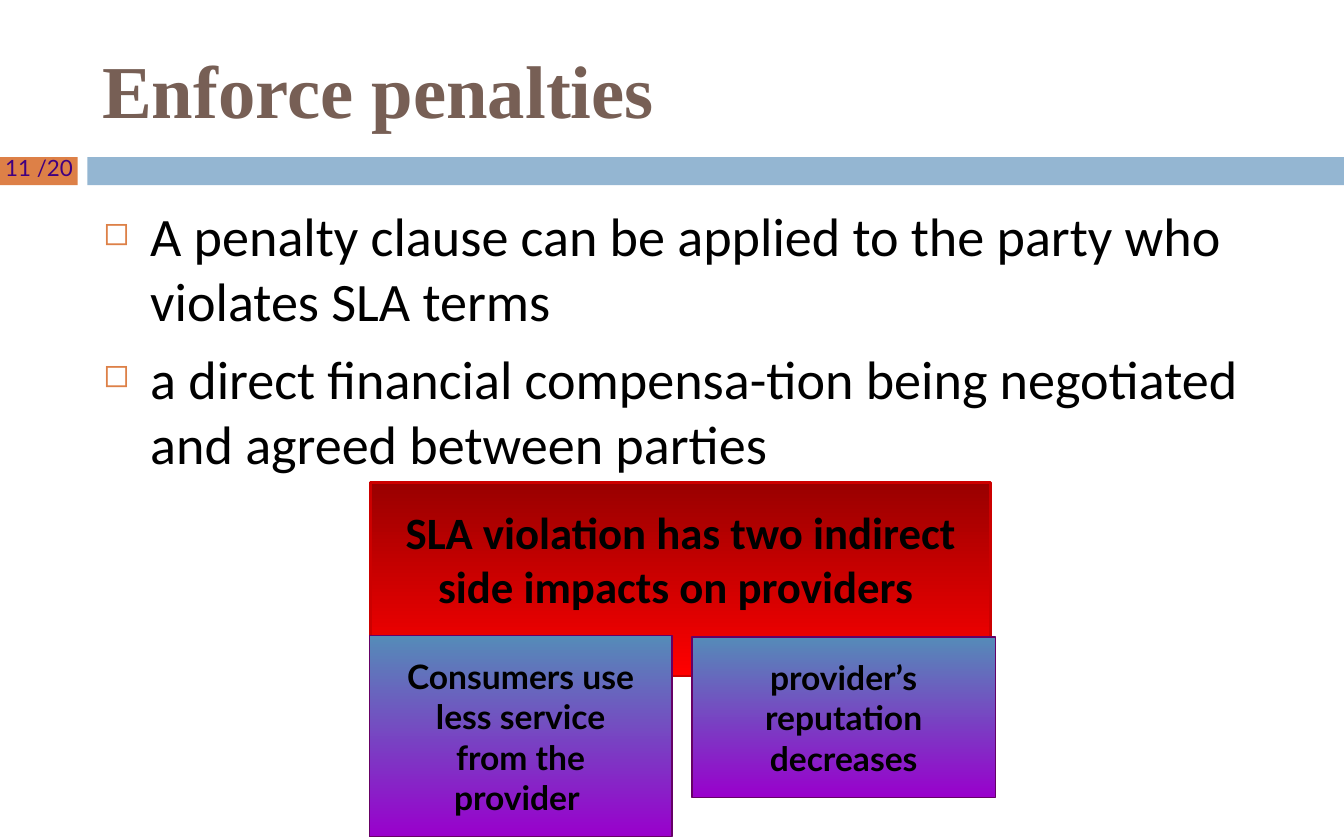
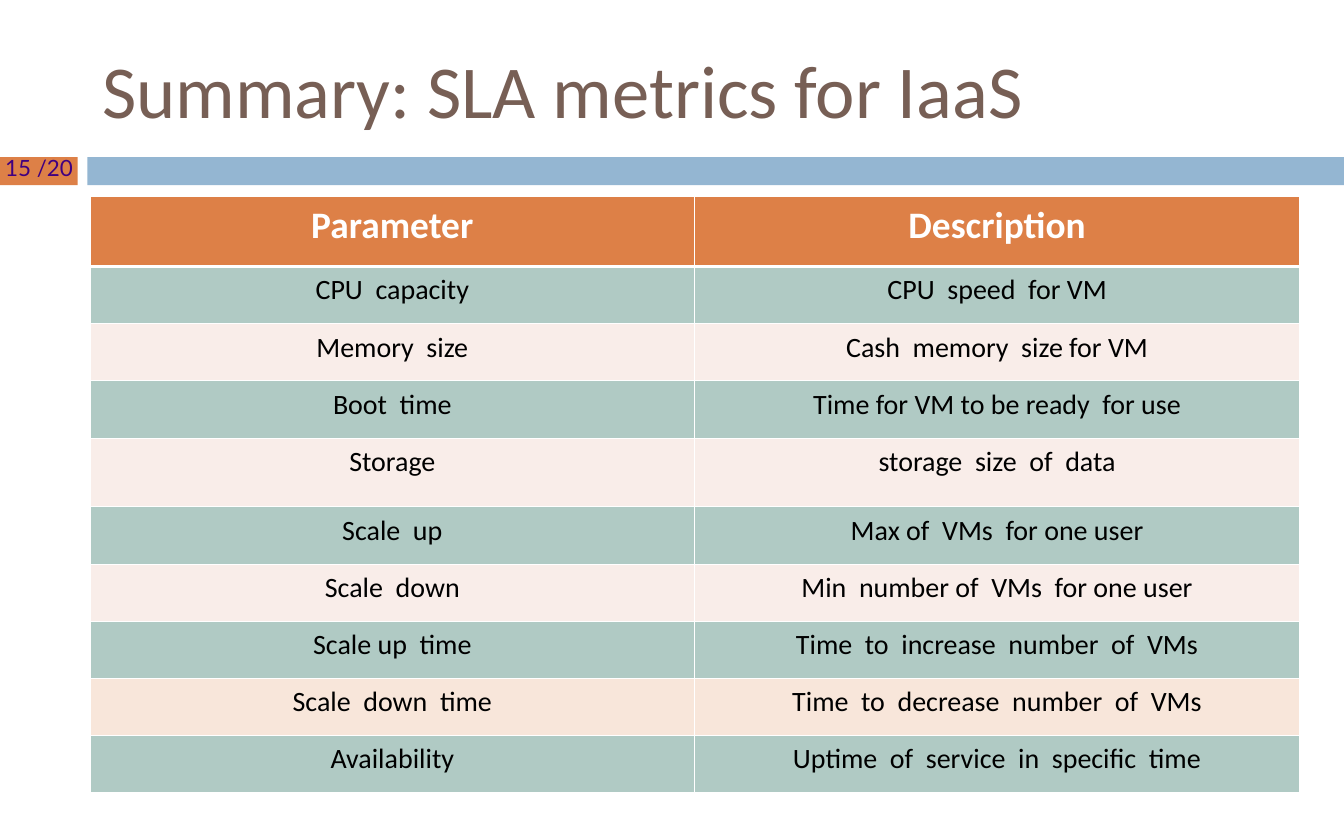
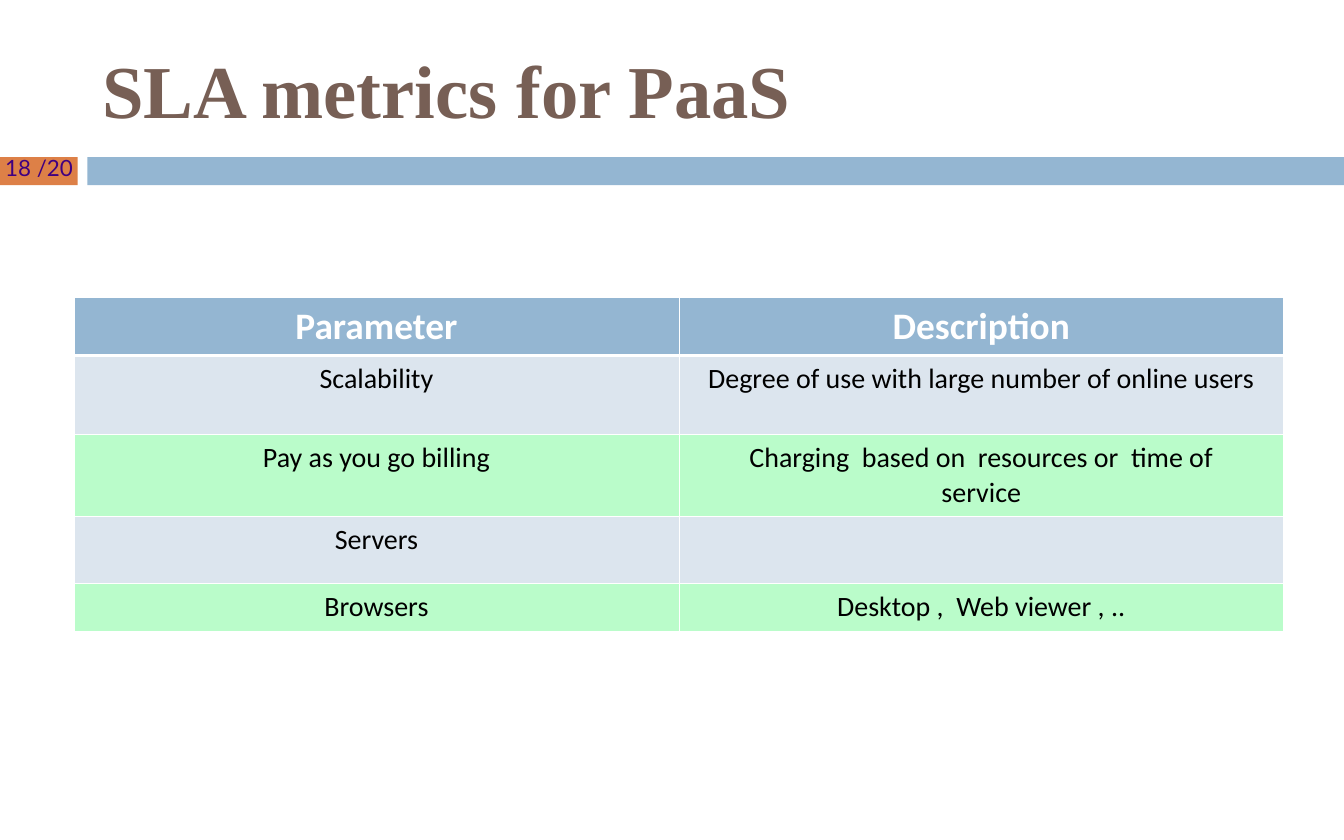
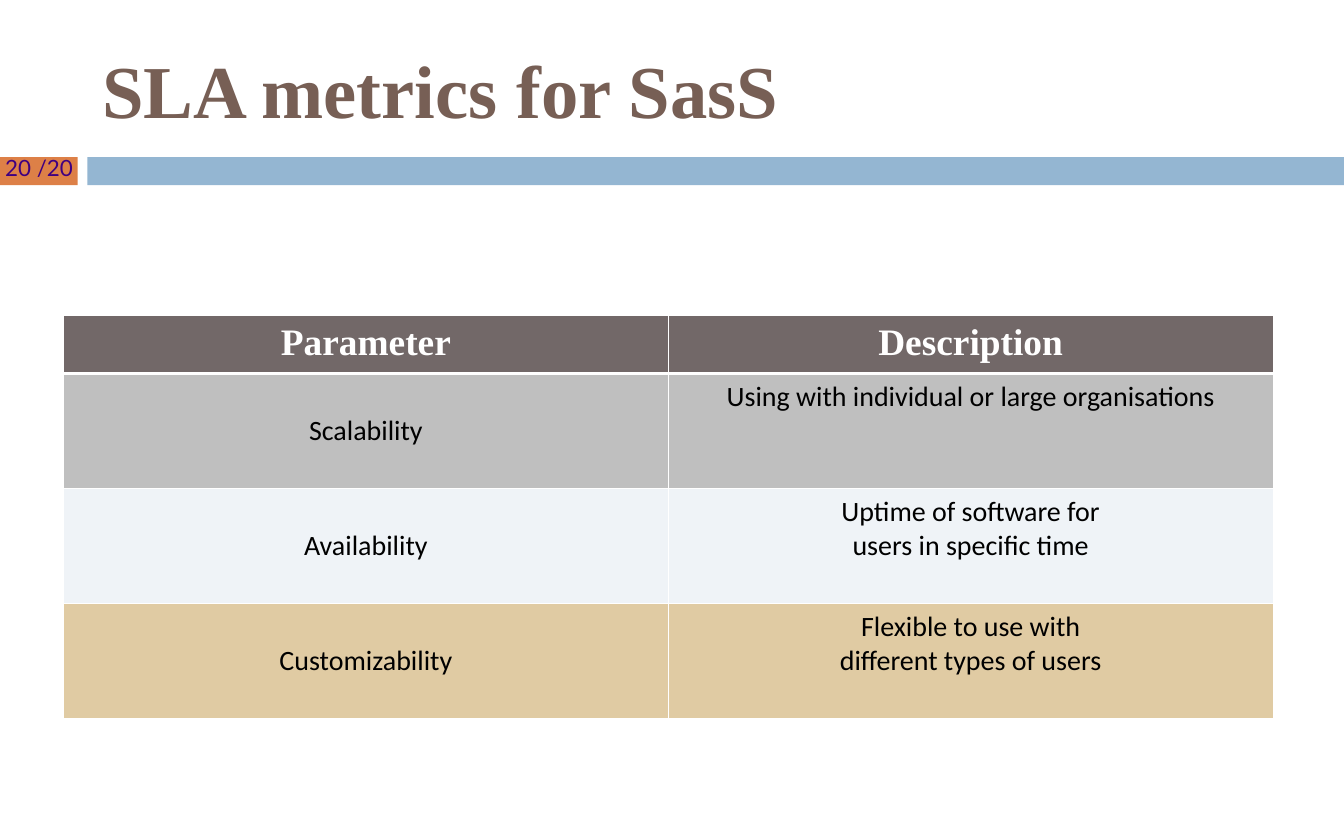
import pptx
import pptx.dml.color
import pptx.enum.shapes
import pptx.enum.text
import pptx.oxml
import pptx.oxml.ns
import pptx.util
from lxml import etree

Cm = pptx.util.Cm
Pt = pptx.util.Pt
RGBColor = pptx.dml.color.RGBColor
ALIGN = pptx.enum.text.PP_ALIGN
ANCHOR = pptx.enum.text.MSO_ANCHOR
RECTANGLE = pptx.enum.shapes.MSO_SHAPE.RECTANGLE

BLACK = RGBColor(0x00, 0x00, 0x00)
WHITE = RGBColor(0xFF, 0xFF, 0xFF)
ORANGE = RGBColor(0xDD, 0x80, 0x47)
BLUE = RGBColor(0x94, 0xB6, 0xD2)
BROWN = RGBColor(0x77, 0x5F, 0x55)
INDIGO = RGBColor(0x40, 0x00, 0x80)
DARK_RED = RGBColor(0x99, 0x00, 0x00)
RED = RGBColor(0xFF, 0x00, 0x00)
RED_LINE = RGBColor(0xCC, 0x00, 0x00)
STEEL = RGBColor(0x55, 0x8B, 0xB8)
VIOLET = RGBColor(0x99, 0x00, 0xCC)
PURPLE_LINE = RGBColor(0x66, 0x00, 0x66)
TEAL = RGBColor(0xB0, 0xCA, 0xC4)
ROSE = RGBColor(0xF9, 0xED, 0xE9)
PEACH = RGBColor(0xF8, 0xE6, 0xDA)
PALE_BLUE = RGBColor(0xDC, 0xE5, 0xEE)
MINT = RGBColor(0xBA, 0xFC, 0xCA)
TAUPE = RGBColor(0x72, 0x68, 0x68)
GREY = RGBColor(0xBF, 0xBF, 0xBF)
ICE = RGBColor(0xEF, 0xF3, 0xF7)
SAND = RGBColor(0xE0, 0xCB, 0xA3)

SANS = "Calibri"
SERIF = "Times New Roman"
LABEL = "Lato"
PAGE_COUNT = 20
COLUMN_WIDTH = 11.43
HEADINGS = ("Parameter", "Description")

BULLETS = [
    "A penalty clause can be applied to the party who violates SLA terms",
    "a direct financial compensa-tion being negotiated and agreed between parties",
]

IMPACT_STYLE = {
    "colors": (STEEL, VIOLET), "line": (PURPLE_LINE, 0.75),
    "insets": (0.51, 0.38, 0.51, 0.38), "font": (LABEL, 18),
}
IMPACT_BOXES = [
    {
        "text": "SLA violation has two indirect side impacts on providers ",
        "at": (7.01, 9.12, 11.71, 3.66),
        "colors": (DARK_RED, RED), "line": (RED_LINE, 1.5),
        "insets": (0.46, 0.43, 0.46, 0.18), "font": (SANS, 24),
    },
    {"text": "Consumers use less service from the provider ",
     "at": (6.98, 12.02, 5.72, 3.8), **IMPACT_STYLE},
    {"text": "provider’s reputation decreases",
     "at": (13.08, 12.04, 5.73, 3.04), **IMPACT_STYLE},
]

SLIDES = [
    {"title": "Enforce penalties", "title_font": SERIF, "page": 11},
    {
        "title": "Summary: SLA metrics for IaaS", "title_font": SANS, "page": 15,
        "table": {
            "at": (1.7, 3.71), "header": (ORANGE, SANS, 1.33), "label_anchor": ANCHOR.TOP,
            "rows": [
                ("CPU  capacity", "CPU  speed  for VM", TEAL, 1.08),
                ("Memory  size", "Cash  memory  size for VM", ROSE, 1.08),
                ("Boot  time", "Time for VM to be ready  for use", TEAL, 1.08),
                ("Storage", "storage  size  of  data", ROSE, 1.3),
                ("Scale  up", "Max of  VMs  for one user", TEAL, 1.08),
                ("Scale  down", "Min  number of  VMs  for one user", ROSE, 1.08),
                ("Scale up  time", "Time  to  increase  number  of  VMs", TEAL, 1.08),
                ("Scale  down  time", "Time  to  decrease  number  of  VMs", PEACH, 1.08),
                ("Availability", "Uptime  of  service  in  specific  time", TEAL, 1.08),
            ],
        },
    },
    {
        "title": "SLA metrics for PaaS", "title_font": SERIF, "page": 18,
        "table": {
            "at": (1.4, 5.62), "header": (BLUE, SANS, 1.1), "label_anchor": ANCHOR.TOP,
            "rows": [
                ("Scalability", "Degree of use with large number of online users", PALE_BLUE, 1.49),
                ("Pay as you go billing", "Charging  based on  resources or  time of\nservice", MINT, 1.55),
                ("Servers", "", PALE_BLUE, 1.27),
                ("Browsers", "Desktop ,  Web viewer , ..", MINT, 0.9),
            ],
        },
    },
    {
        "title": "SLA metrics for SasS", "title_font": SERIF, "page": 20,
        "table": {
            "at": (1.2, 5.96), "header": (TAUPE, SERIF, 1.04), "label_anchor": ANCHOR.MIDDLE,
            "rows": [
                ("Scalability", "Using with individual or large organisations", GREY, 2.17),
                ("Availability", "Uptime of software for\nusers in specific time", ICE, 2.17),
                ("Customizability", "Flexible to use with\ndifferent types of users", SAND, 2.17),
            ],
        },
    },
]


def add_run(paragraph, text, font_name, size, color, bold=False):
    run = paragraph.add_run()
    run.text = text
    run.font.name = font_name
    run.font.size = Pt(size)
    run.font.color.rgb = color
    run.font.bold = bold


def add_rectangle(slide, at):
    shape = slide.shapes.add_shape(RECTANGLE, *map(Cm, at))
    shape.shadow.inherit = False
    return shape


def add_text_frame(slide, at, anchor=ANCHOR.TOP, wrap=True):
    frame = slide.shapes.add_textbox(*map(Cm, at)).text_frame
    frame.word_wrap = wrap
    frame.vertical_anchor = anchor
    return frame


def add_frame(slide, content):
    for at, color in (((0, 2.97, 1.47, 0.53), ORANGE), ((1.65, 2.97, 23.75, 0.53), BLUE)):
        band = add_rectangle(slide, at)
        band.fill.solid()
        band.fill.fore_color.rgb = color
        band.line.fill.background()
    number = add_text_frame(slide, (-0.15, 2.79, 1.85, 1.85), wrap=False)
    add_run(number.paragraphs[0], f"{content['page']} /{PAGE_COUNT}", LABEL, 12, INDIGO)
    title = add_text_frame(slide, (1.68, 0.53, 19.76, 2.29), ANCHOR.MIDDLE)
    font_name = content["title_font"]
    add_run(title.paragraphs[0], content["title"], font_name, 40, BROWN, font_name == SERIF)


def set_bullet(paragraph):
    properties = paragraph._p.get_or_add_pPr()
    properties.set("marL", str(Cm(0.89)))
    properties.set("indent", str(-Cm(0.89)))
    namespace = pptx.oxml.ns.nsdecls("a")
    for xml in (
        f'<a:buClr {namespace}><a:srgbClr val="{ORANGE}"/></a:buClr>',
        f'<a:buSzPct {namespace} val="60000"/>',
        f'<a:buChar {namespace} char="◻"/>',
    ):
        properties.append(pptx.oxml.parse_xml(xml))


def add_bullets(slide):
    frame = add_text_frame(slide, (1.7, 3.71, 22.66, 5.3))
    for index, text in enumerate(BULLETS):
        paragraph = frame.add_paragraph() if index else frame.paragraphs[0]
        set_bullet(paragraph)
        if index:
            paragraph.space_before = Pt(7)
        add_run(paragraph, text, SANS, 29, BLACK)


def add_impact_box(slide, box):
    shape = add_rectangle(slide, box["at"])
    shape.fill.gradient()
    shape.fill.gradient_angle = 270
    for stop, color in zip(shape.fill.gradient_stops, box["colors"]):
        stop.color.rgb = color
    line_color, line_width = box["line"]
    shape.line.color.rgb = line_color
    shape.line.width = Pt(line_width)
    frame = shape.text_frame
    frame.word_wrap = True
    frame.vertical_anchor = ANCHOR.TOP
    frame.margin_left, frame.margin_top, frame.margin_right, frame.margin_bottom = map(Cm, box["insets"])
    paragraph = frame.paragraphs[0]
    paragraph.alignment = ALIGN.CENTER
    add_run(paragraph, box["text"], *box["font"], BLACK, True)


def set_borders(cell, row_index):
    properties = cell._tc.get_or_add_tcPr()
    widths = {"L": 0.45, "R": 0.45, "T": 0.45, "B": 0.45}
    if row_index < 2:
        widths["T" if row_index else "B"] = 1.47
    for side, width in widths.items():
        line = etree.SubElement(properties, pptx.oxml.ns.qn(f"a:ln{side}"), w=str(Pt(width)))
        fill = etree.SubElement(line, pptx.oxml.ns.qn("a:solidFill"))
        etree.SubElement(fill, pptx.oxml.ns.qn("a:srgbClr"), val=str(WHITE))


def fill_cell(cell, text, row_index, color, text_style):
    set_borders(cell, row_index)
    cell.fill.solid()
    cell.fill.fore_color.rgb = color
    for index, line in enumerate(text.split("\n") if text else []):
        frame = cell.text_frame
        paragraph = frame.add_paragraph() if index else frame.paragraphs[0]
        paragraph.alignment = ALIGN.CENTER
        add_run(paragraph, line, *text_style)


def add_metrics_table(slide, content):
    header_color, header_font, header_height = content["header"]
    rows = [(*HEADINGS, header_color, header_height)] + content["rows"]
    left, top = content["at"]
    height = sum(row[-1] for row in rows)
    table = slide.shapes.add_table(
        len(rows), len(HEADINGS), Cm(left), Cm(top), Cm(COLUMN_WIDTH * len(HEADINGS)), Cm(height)
    ).table
    table.horz_banding = False
    for column in table.columns:
        column.width = Cm(COLUMN_WIDTH)
    for row_index, (*texts, color, row_height) in enumerate(rows):
        table.rows[row_index].height = Cm(row_height)
        text_style = (SANS, 15, BLACK) if row_index else (header_font, 20, WHITE, True)
        for column_index, text in enumerate(texts):
            cell = table.cell(row_index, column_index)
            fill_cell(cell, text, row_index, color, text_style)
            if row_index and column_index == 0:
                cell.vertical_anchor = content["label_anchor"]


def main():
    presentation = pptx.Presentation()
    presentation.slide_width = Cm(25.4)
    presentation.slide_height = Cm(15.88)
    for content in SLIDES:
        slide = presentation.slides.add_slide(presentation.slide_layouts[6])
        add_frame(slide, content)
        if "table" in content:
            add_metrics_table(slide, content["table"])
        else:
            add_bullets(slide)
            for box in IMPACT_BOXES:
                add_impact_box(slide, box)
    presentation.save("out.pptx")


if __name__ == "__main__":
    main()
